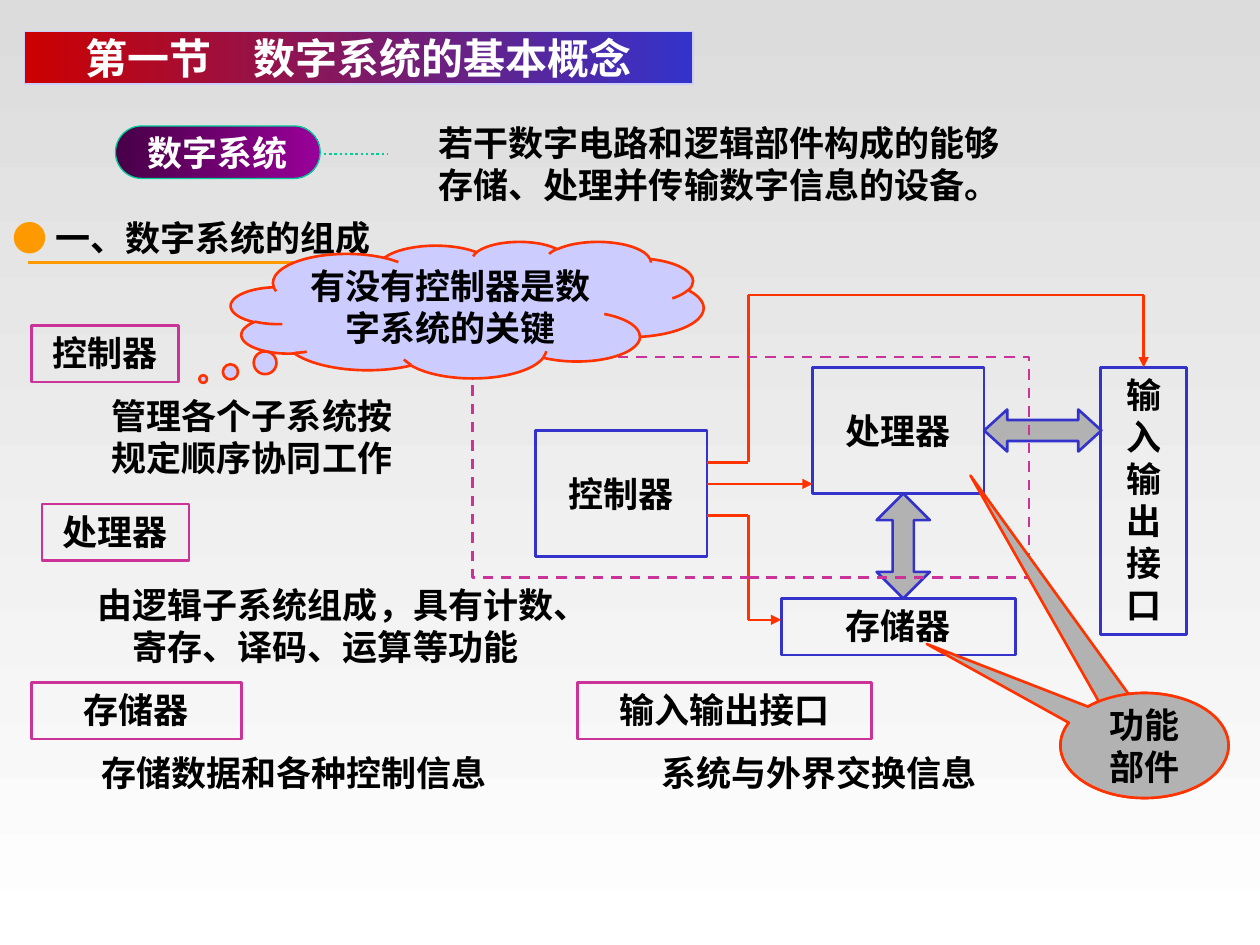
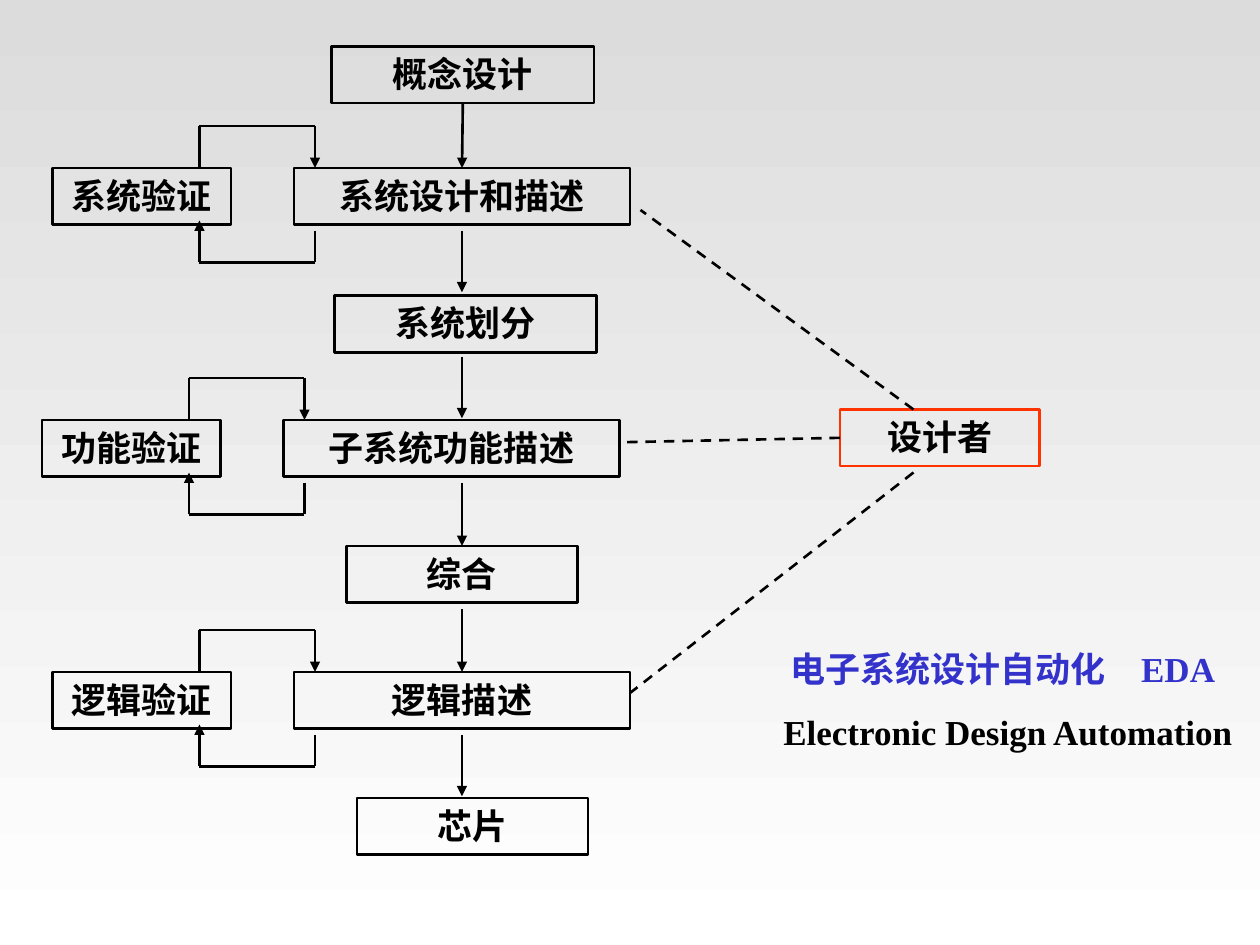
from dataclasses import dataclass

from lxml.etree import SubElement
from pptx import Presentation
from pptx.dml.color import RGBColor
from pptx.enum.dml import MSO_LINE
from pptx.enum.lang import MSO_LANGUAGE_ID as Language
from pptx.enum.shapes import MSO_CONNECTOR, MSO_SHAPE as Preset
from pptx.enum.text import MSO_ANCHOR as Anchor, PP_ALIGN as Align
from pptx.oxml.ns import qn
from pptx.slide import Slide
from pptx.util import Pt

BLACK = RGBColor(0x00, 0x00, 0x00)
WHITE = RGBColor(0xFF, 0xFF, 0xFF)
PALE_GRAY = RGBColor(0xDC, 0xDC, 0xDC)
GRAY = RGBColor(0xB2, 0xB2, 0xB2)
BLUE = RGBColor(0x33, 0x33, 0xCC)
LAVENDER = RGBColor(0xCC, 0xCC, 0xFF)
CRIMSON = RGBColor(0xCC, 0x00, 0x00)
RED = RGBColor(0xFF, 0x33, 0x00)
ORANGE = RGBColor(0xFF, 0x99, 0x00)
PINK = RGBColor(0xCC, 0x33, 0x99)
GREEN = RGBColor(0x00, 0xCC, 0x99)
DARK_PURPLE = RGBColor(0x47, 0x00, 0x47)
PURPLE = RGBColor(0x99, 0x00, 0x99)

FONT = "Times New Roman"
TEXT_SIZE = 20
LINE_WIDTH = 1.5
LABEL_HEIGHT = 32.4
TOP, LEFT, BOTTOM = 0, 1, 2


@dataclass
class Region:
    """Part of a slide; whatever is placed in it is measured from its corner."""
    slide: Slide
    left: float = 0
    top: float = 0

    def point(self, x, y):
        return Pt(self.left + x), Pt(self.top + y)


def set_gradient(fill, start, end, angle=0):
    fill.gradient()
    fill.gradient_angle = angle
    for stop, color in zip(fill.gradient_stops, (start, end)):
        stop.color.rgb = color


def style_shape(shape, fill=None, line=None, line_width=LINE_WIDTH, dash=None):
    """Fill with one colour, a pair of colours as a gradient, or nothing."""
    shape.shadow.inherit = False
    if fill is None:
        shape.fill.background()
    elif isinstance(fill, RGBColor):
        shape.fill.solid()
        shape.fill.fore_color.rgb = fill
    else:
        set_gradient(shape.fill, *fill)
    shape.line.color.rgb = line
    shape.line.width = Pt(line_width)
    if dash:
        shape.line.dash_style = dash


def add_run(paragraph, text, size=TEXT_SIZE, color=BLACK, bold=True):
    run = paragraph.add_run()
    run.text = text
    font = run.font
    font.name, font.size, font.bold = FONT, Pt(size), bold
    font.color.rgb = color
    font.language_id = Language.SIMPLIFIED_CHINESE


def write_text(shape, text, align=Align.CENTER, anchor=Anchor.TOP,
               wrap=True, inset=True, **run_format):
    frame = shape.text_frame
    frame.word_wrap = wrap
    frame.vertical_anchor = anchor
    frame.margin_left = frame.margin_right = Pt(7.2 if inset else 0)
    frame.margin_top = frame.margin_bottom = Pt(3.6 if inset else 0)
    paragraph = frame.paragraphs[0]
    paragraph.alignment = align
    add_run(paragraph, text, **run_format)
    return paragraph


def add_figure(region, preset, left, top, width, height, adjustments=(), **style):
    shape = region.slide.shapes.add_shape(
        preset, *region.point(left, top), Pt(width), Pt(height))
    for index, value in enumerate(adjustments):
        shape.adjustments[index] = value
    style_shape(shape, **style)
    return shape


def add_box(region, text, left, top, width, height=LABEL_HEIGHT,
            line=BLACK, anchor=Anchor.TOP, wrap=True):
    shape = add_figure(region, Preset.RECTANGLE, left, top, width, height, line=line)
    write_text(shape, text, anchor=anchor, wrap=wrap)
    return shape


def add_text(region, text, left, top, width, height, **text_format):
    box = region.slide.shapes.add_textbox(
        *region.point(left, top), Pt(width), Pt(height))
    return write_text(box, text, **text_format)


def add_line(region, start, end, color=BLACK, width=LINE_WIDTH, dash=None,
             arrow=False, begin_at=None, end_at=None):
    """Draw a straight line; begin_at and end_at are (shape, side) to join."""
    connector = region.slide.shapes.add_connector(
        MSO_CONNECTOR.STRAIGHT, *region.point(*start), *region.point(*end))
    if begin_at:
        connector.begin_connect(*begin_at)
    if end_at:
        connector.end_connect(*end_at)
    connector.line.color.rgb = color
    connector.line.width = Pt(width)
    if dash:
        connector.line.dash_style = dash
    if arrow:
        SubElement(connector.get_or_add_ln(), qn("a:tailEnd"), type="triangle")
    SubElement(connector.element.spPr, qn("a:effectLst"))


def add_route(region, *points, color=BLACK, end_at=None):
    """Draw lines from point to point, with an arrowhead on the last."""
    legs = list(zip(points, points[1:]))
    for start, end in legs[:-1]:
        add_line(region, start, end, color)
    add_line(region, *legs[-1], color, arrow=True, end_at=end_at)


def place_title(slide, text):
    title = slide.shapes.title
    title.left, title.top, title.width, title.height = Pt(14), Pt(18), Pt(382), Pt(30)
    outline = SubElement(title.element.spPr, qn("a:prstGeom"), prst="roundRect")
    guides = SubElement(outline, qn("a:avLst"))
    SubElement(guides, qn("a:gd"), name="adj", fmla="val 50000")
    style_shape(title, fill=(CRIMSON, BLUE), line=LAVENDER, line_width=0.75)
    write_text(title, text, anchor=Anchor.MIDDLE, wrap=False, inset=False,
               size=24, color=WHITE)


def draw_section_heading(region, text):
    paragraph = add_text(region, "● ", 0, 0, 288, 31, align=Align.LEFT,
                         color=ORANGE, bold=False)
    add_run(paragraph, text)
    add_line(region, (16, 30), (208, 30), ORANGE, width=2.25)


def draw_definition(region, term, meaning):
    pill = add_figure(region, Preset.ROUNDED_RECTANGLE, 0, 6, 117, 30, [0.5],
                      fill=(DARK_PURPLE, PURPLE), line=GREEN, line_width=0.75)
    write_text(pill, term, anchor=Anchor.MIDDLE, wrap=False, inset=False, color=WHITE)
    add_line(region, (119, 22), (156, 22), GREEN, dash=MSO_LINE.ROUND_DOT)
    add_text(region, meaning, 168, 0, 354, 55.4)


def draw_block_diagram(region):
    units = dict(height=72, line=BLUE, anchor=Anchor.MIDDLE, wrap=False)
    add_box(region, "控制器", 36, 78, 98, **units)
    add_box(region, "处理器", 194.4, 42, 98, **units)
    interface = add_box(region, "输入输出接口", 359, 42, 49, 152.6, line=BLUE)
    add_box(region, "存储器", 176.4, 174, 134, line=BLUE)

    add_figure(region, Preset.UP_DOWN_ARROW, 231, 114, 30.4, 60, [0.5, 0.4],
               fill=GRAY, line=BLUE)
    add_figure(region, Preset.LEFT_RIGHT_ARROW, 292.4, 66, 67, 24, [0.5, 0.55],
               fill=GRAY, line=BLUE)

    start, bend = 134, 157.7
    add_route(region, (start, 108.5), (194.4, 108.5), color=RED)
    add_route(region, (start, 126.5), (bend, 126.5), (bend, 186.2), (176.4, 186.2),
              color=RED)
    add_route(region, (start, 96.2), (bend, 96.2), (bend, 0.5), (383.5, 0.5),
              (383.5, 42), color=RED, end_at=(interface, TOP))
    add_figure(region, Preset.RECTANGLE, 0, 36, 318, 126, line=PINK, dash=MSO_LINE.DASH)


def draw_part(region, name, name_width, role, role_left, role_top, role_width, role_height):
    add_box(region, name, 0, 0, name_width, line=PINK)
    add_text(region, role, role_left, role_top, role_width, role_height)


def draw_function_callout(region, text):
    """Draw one ellipse pointing at two blocks."""
    for pointer in ([-1.036, -2.571], [-1.296, -0.967]):
        callout = add_figure(region, Preset.OVAL_CALLOUT, 0, 0, 96, 60, pointer,
                             fill=GRAY, line=RED)
    write_text(callout, text, anchor=Anchor.MIDDLE)


def build_concept_slide(presentation):
    slide = presentation.slides.add_slide(presentation.slide_layouts[5])
    place_title(slide, "第一节　数字系统的基本概念")
    draw_section_heading(Region(slide, 0, 120), "一、数字系统的组成")
    draw_block_diagram(Region(slide, 270, 168))
    draw_definition(Region(slide, 66, 66), "数字系统",
                    "若干数字电路和逻辑部件构成的能够存储、处理并传输数字信息的设备。")
    parts = [
        (18, 186, "控制器", 84, "管理各个子系统按规定顺序协同工作", 30, 36, 192, 55.4),
        (24, 288, "处理器", 84, "由逻辑子系统组成，具有计数、寄存、译码、运算等功能",
         24, 42, 276, 55.4),
        (18, 390, "存储器", 120, "存储数据和各种控制信息", 12, 36, 276, 31),
        (330, 390, "输入输出接口", 168, "系统与外界交换信息", 24, 36, 228, 31),
    ]
    for left, top, *part in parts:
        draw_part(Region(slide, left, top), *part)
    cloud = add_figure(Region(slide, 132, 138), Preset.CLOUD_CALLOUT, 0, 0, 270, 78,
                       [-0.559, 0.508], fill=LAVENDER, line=RED)
    write_text(cloud, "有没有控制器是数字系统的关键", anchor=Anchor.MIDDLE)
    draw_function_callout(Region(slide, 606, 396), "功能部件")


def draw_design_flow(region):
    steps = [
        ("概念设计", 27.5, 0, 150),
        ("系统设计和描述", 6, 69.5, 192),
        ("系统划分", 29, 142.5, 150),
        ("子系统功能描述", 0, 213.5, 192),
        ("综合", 36, 285.5, 132),
        ("逻辑描述", 6, 357.5, 192),
        ("芯片", 42, 429.5, 132),
    ]
    boxes = [add_box(region, *step) for step in steps]
    axis, pitch = 102, 72

    def is_on_axis(step):
        return abs(step[1] + step[3] / 2 - axis) < 1

    for index, (upper, lower) in enumerate(zip(steps, steps[1:])):
        start = 33.5 + pitch * index
        touches = start - upper[2] - LABEL_HEIGHT < 2
        add_line(region, (axis, start), (axis, start + 35), arrow=True,
                 begin_at=(boxes[index], BOTTOM) if touches else None,
                 end_at=(boxes[index + 1], TOP) if is_on_axis(lower) else None)


def draw_check_loop(region, text):
    """Draw a verification box and the two routes between it and its step."""
    add_box(region, text, 0, 0, 102)
    near, far = 84, 150
    add_route(region, (near, 0), (near, -24), (far, -24), (far, 0))
    add_route(region, (far, 36), (far, 54), (near, 54), (near, 30))


def draw_designer(region):
    designer = add_box(region, "设计者", 0, 0, 114, line=RED)
    dashed = dict(dash=MSO_LINE.DASH)
    add_line(region, (42, 0), (-114, -114), **dashed)
    add_line(region, (42, 36), (-120, 162), **dashed)
    add_line(region, (0, 18), (-123.5, 18.7), begin_at=(designer, LEFT), **dashed)


def build_flow_slide(presentation):
    slide = presentation.slides.add_slide(presentation.slide_layouts[6])
    draw_design_flow(Region(slide, 162, 26.5))
    for left, top, text in ((30, 96, "系统验证"), (24, 240, "功能验证"), (30, 384, "逻辑验证")):
        draw_check_loop(Region(slide, left, top), text)
    draw_designer(Region(slide, 480, 234))
    caption = Region(slide, 432, 366.5)
    add_text(caption, "电子系统设计自动化　EDA", 6, 0, 270, 31, color=BLUE)
    add_text(caption, "Electronic Design Automation", 0, 36, 288, 31)


def main():
    presentation = Presentation()
    presentation.slide_width, presentation.slide_height = Pt(720), Pt(540)
    set_gradient(presentation.slide_master.background.fill, PALE_GRAY, WHITE, angle=270)
    build_concept_slide(presentation)
    build_flow_slide(presentation)
    presentation.save("out.pptx")


if __name__ == "__main__":
    main()
